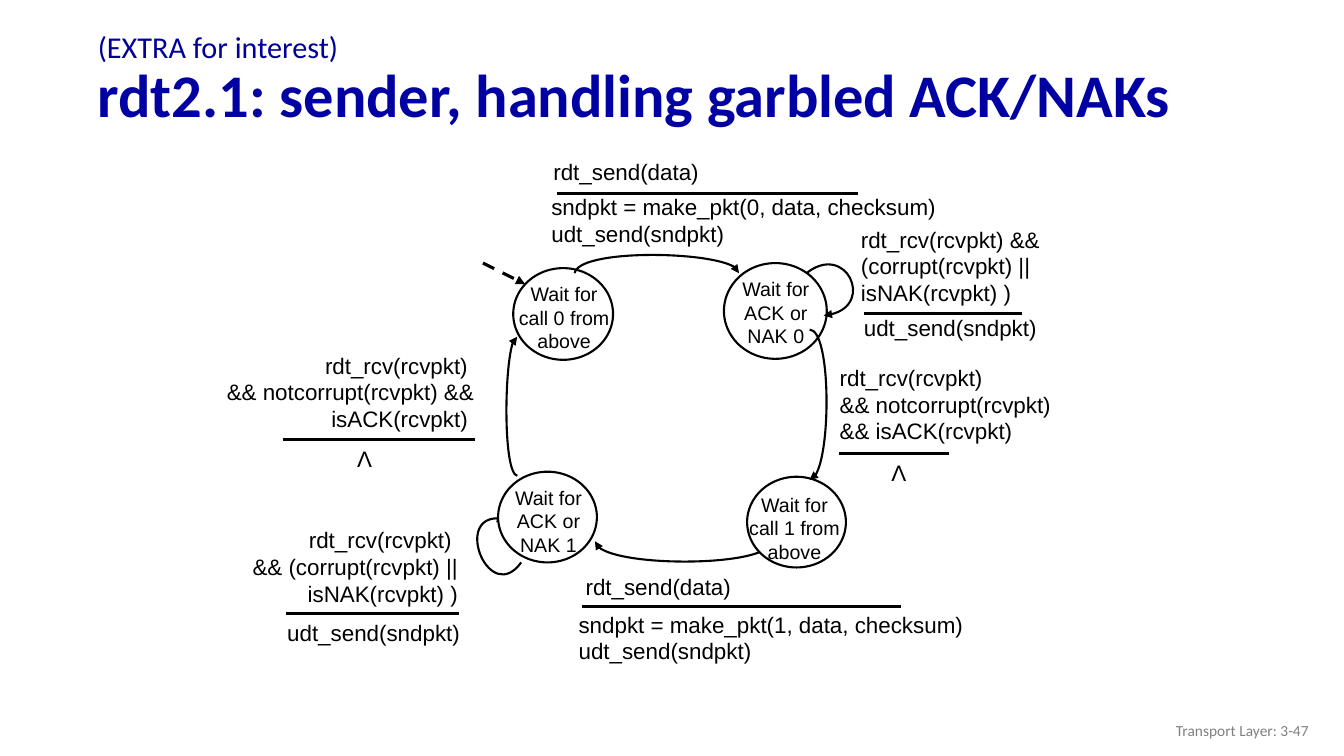
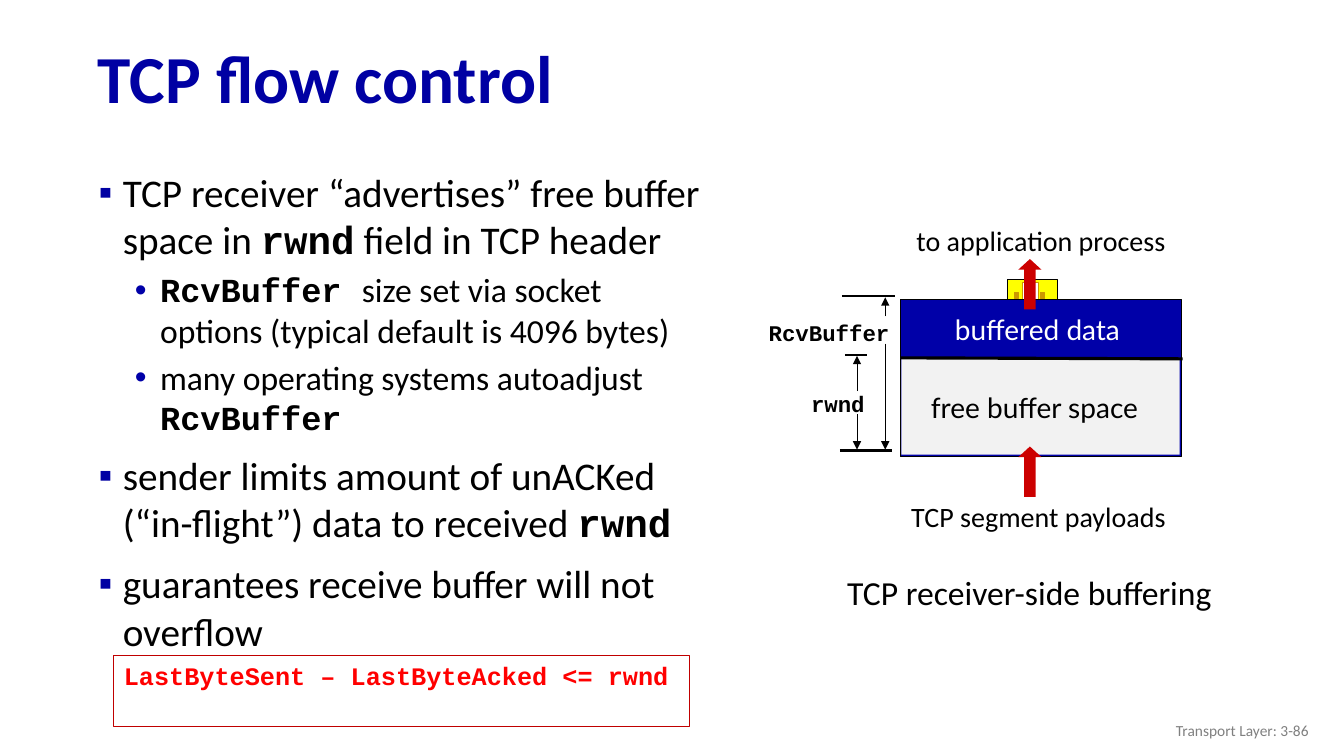
from dataclasses import dataclass
from typing import Any, NamedTuple, Optional

from lxml import etree
from pptx import Presentation
from pptx.dml.color import RGBColor
from pptx.enum.dml import MSO_LINE
from pptx.enum.shapes import MSO_CONNECTOR, MSO_SHAPE
from pptx.enum.text import MSO_ANCHOR, MSO_AUTO_SIZE, PP_ALIGN
from pptx.oxml.ns import qn
from pptx.util import Inches, Pt

LEFT, CENTER, RIGHT = PP_ALIGN.LEFT, PP_ALIGN.CENTER, PP_ALIGN.RIGHT
TOP, MIDDLE = MSO_ANCHOR.TOP, MSO_ANCHOR.MIDDLE
RECTANGLE, OVAL, UP_ARROW = MSO_SHAPE.RECTANGLE, MSO_SHAPE.OVAL, MSO_SHAPE.UP_ARROW
STRAIGHT, DASH = MSO_CONNECTOR.STRAIGHT, MSO_LINE.DASH
NO_AUTOFIT = MSO_AUTO_SIZE.NONE
TITLE_ONLY = 5


class Style(NamedTuple):
    """Font settings of a piece of text."""
    size: float
    name: str
    color: str
    bold: bool = False


class Box(NamedTuple):
    """Position and size in inches."""
    left: float
    top: float
    width: float
    height: float


class Line(NamedTuple):
    """Straight line in inches, its arrow at the end point."""
    x1: float
    y1: float
    x2: float
    y2: float
    width: float
    arrow: bool = False


@dataclass(frozen=True)
class Theme:
    """Colours and text styles of the deck."""
    black: str = "000000"
    white: str = "FFFFFF"
    navy: str = "0000A3"
    buffer: str = "0000A8"
    free: str = "F2F2F2"
    yellow: str = "FFFF00"
    ochre: str = "CC9900"
    arrow: str = "CC0000"
    frame: str = "C00000"
    title: Style = Style(48, "Calibri", "0000A3", True)
    long_title: Style = Style(43.2, "Calibri", "0000A3", True)
    kicker: Style = Style(21.6, "Calibri", "000099")
    footer: Style = Style(11, "Calibri", "808080")
    state: Style = Style(14, "Arial", "000000")
    label: Style = Style(16, "Arial", "000000")
    body: Style = Style(28, "Calibri", "000000")
    body_code: Style = Style(28, "Courier New", "000000", True)
    detail: Style = Style(24, "Calibri", "000000")
    detail_code: Style = Style(24, "Courier New", "000000", True)
    caption: Style = Style(20, "Calibri", "000000")
    buffered: Style = Style(20, "Lato", "FFFFFF")
    unused: Style = Style(20, "Lato", "000000")
    measure: Style = Style(16, "Courier New", "000000", True)
    formula: Style = Style(18, "Courier New", "FF0000", True)


THEME = Theme()


class State(NamedTuple):
    """State of the sender: its circle, text box and wording."""
    circle: Box
    text_box: Box
    text: str


class Label(NamedTuple):
    """Text beside a transition, one paragraph per line."""
    box: Box
    text: str
    align: Any = LEFT
    wrap: bool = True


class Transition(NamedTuple):
    """Curved arrow, with event and action labels split by a rule."""
    curve: tuple[tuple[float, float], ...]
    rule: Line
    labels: tuple[Label, ...]


class Bullet(NamedTuple):
    """Bullet level and its (text, is code) pieces."""
    level: int
    pieces: tuple[tuple[str, bool], ...]


class BulletLevel(NamedTuple):
    """Look of one bullet level."""
    mark: str
    color: str
    margin: float
    hanging: float
    space: float
    plain: Style
    code: Style


LEVELS = (
    BulletLevel("▪", THEME.navy, 0.39, 0.24, 10, THEME.body, THEME.body_code),
    BulletLevel("•", THEME.buffer, 0.76, 0.25, 5, THEME.detail, THEME.detail_code),
)
STATES = (
    State(Box(5.09, 2.66, 0.99, 0.91), Box(5, 2.75, 1.19, 0.67), "Wait for call 0 from above"),
    State(Box(7.18, 2.61, 1.02, 0.95), Box(7.1, 2.7, 1.19, 0.71), "Wait for ACK or NAK 0"),
    State(Box(7.41, 4.73, 0.98, 0.9), Box(7.27, 4.84, 1.22, 0.67), "Wait for\ncall 1 from above"),
    State(Box(4.94, 4.68, 0.98, 0.9), Box(4.87, 4.77, 1.14, 0.67), "Wait for ACK or NAK 1"),
)
BEHIND_STATES = (
    Transition(((7.65, 5.37), (7.65, 5.62), (5.93, 5.64), (5.9, 5.37)), Line(5.77, 6.02, 8.94, 6.02, 2.25), (
        Label(Box(5.71, 5.64, 2.61, 0.31), "rdt_send(data)"),
        Label(Box(5.64, 6.01, 4.12, 0.44), "sndpkt = make_pkt(1, data, checksum)\nudt_send(sndpkt)"))),
    Transition(((5.17, 5.58), (4.86, 6.01), (4.46, 5.05), (5.01, 5.15)), Line(2.84, 6.09, 4.55, 6.09, 2.25), (
        Label(Box(2.03, 5.17, 2.61, 0.62), "rdt_rcv(rcvpkt) \n&& (corrupt(rcvpkt) ||\nisNAK(rcvpkt) )", RIGHT),
        Label(Box(2.75, 6.09, 1.99, 0.3), "udt_send(sndpkt)"))),
)
OVER_STATES = (
    Transition(((5.7, 2.71), (5.74, 2.47), (7.33, 2.49), (7.33, 2.71)), Line(5.52, 1.92, 8.51, 1.92, 2.25), (
        Label(Box(5.39, 1.52, 2.31, 0.33), "rdt_send(data)"),
        Label(Box(5.37, 1.87, 4.04, 0.44), "sndpkt = make_pkt(0, data, checksum)\nudt_send(sndpkt)"))),
    Transition(((8, 2.71), (8.39, 2.4), (8.71, 3.08), (8.17, 3.13)), Line(8.57, 3.11, 10.14, 3.11, 2.25), (
        Label(Box(8.44, 2.19, 3.48, 0.62), "rdt_rcv(rcvpkt) &&\n(corrupt(rcvpkt) ||\nisNAK(rcvpkt) )"),
        Label(Box(8.47, 3.07, 2.47, 0.44), "udt_send(sndpkt)"))),
    Transition(((8.03, 3.27), (8.24, 3.27), (8.25, 4.73), (8.03, 4.76)), Line(8.32, 4.5, 9.41, 4.5, 2.25), (
        Label(Box(8.23, 3.56, 3.28, 0.62), "rdt_rcv(rcvpkt)\n&& notcorrupt(rcvpkt)\n&& isACK(rcvpkt)"),
        Label(Box(8.74, 4.51, 0.35, 0.37), "Λ", CENTER, False))),
    Transition(((5.13, 4.72), (4.99, 4.69), (5, 3.34), (5.13, 3.34)), Line(2.81, 4.36, 4.71, 4.36, 2.25), (
        Label(Box(0.84, 3.44, 3.96, 0.62), "rdt_rcv(rcvpkt) \n&& notcorrupt(rcvpkt) &&\nisACK(rcvpkt) ", RIGHT),
        Label(Box(3.44, 4.37, 0.35, 0.37), "Λ", CENTER, False))),
)
BULLETS = (
    Bullet(0, (("TCP receiver “advertises” free buffer space in ", False), ("rwnd", True),
               (" field in TCP header", False))),
    Bullet(1, (("RcvBuffer ", True), ("size set via socket options (typical default is 4096 bytes)", False))),
    Bullet(1, (("many operating systems autoadjust ", False), ("RcvBuffer", True))),
    Bullet(0, (("sender limits amount of unACKed (“in-flight”) data to received ", False), ("rwnd", True))),
    Bullet(0, (("guarantees receive buffer will not overflow", False),)),
)
BUFFER_FIGURES = (
    (RECTANGLE, Box(9.99, 2.77, 0.5, 0.23), THEME.yellow, THEME.black),
    (RECTANGLE, Box(10.14, 2.8, 0.16, 0.17), THEME.white, THEME.ochre),
    (RECTANGLE, Box(10.32, 2.9, 0.04, 0.06), THEME.ochre, THEME.ochre),
    (RECTANGLE, Box(10.06, 2.9, 0.04, 0.06), THEME.ochre, THEME.ochre),
    (RECTANGLE, Box(8.93, 2.97, 2.79, 1.56), THEME.buffer, THEME.black),
    (UP_ARROW, Box(10.1, 2.57, 0.23, 0.5), THEME.arrow, None),
    (RECTANGLE, Box(8.94, 3.55, 2.76, 0.96), THEME.free, None),
    (UP_ARROW, Box(10.1, 4.43, 0.23, 0.5), THEME.arrow, None),
)
BUFFER_LINES = (
    Line(8.93, 3.55, 11.73, 3.56, 2.25),
    Line(8.5, 3.88, 8.5, 3.53, 0.75, True),
    Line(8.5, 4.11, 8.5, 4.46, 0.75, True),
    Line(8.33, 4.47, 8.85, 4.47, 1.5),
    Line(8.38, 3.52, 8.6, 3.52, 1.5),
    Line(8.35, 2.94, 8.88, 2.94, 1.5),
    Line(8.78, 3.14, 8.78, 2.95, 0.75, True),
    Line(8.78, 3.41, 8.78, 4.46, 0.75, True),
)
BUFFER_LABELS = (
    (Label(Box(9.36, 3.05, 1.86, 0.43), "buffered data", CENTER, False), THEME.buffered),
    (Label(Box(9.12, 3.83, 2.28, 0.43), "free buffer space", CENTER, False), THEME.unused),
    (Label(Box(7.94, 3.82, 0.74, 0.37), "rwnd", CENTER, False), THEME.measure),
    (Label(Box(7.52, 3.12, 1.4, 0.37), "RcvBuffer", RIGHT, False), THEME.measure),
    (Label(Box(8.92, 4.91, 2.76, 0.44), "TCP segment payloads", CENTER, False), THEME.caption),
    (Label(Box(8.97, 2.17, 2.71, 0.44), "to application process", CENTER, False), THEME.caption),
    (Label(Box(8.26, 5.62, 3.9, 0.5), "TCP receiver-side buffering", CENTER, False), THEME.detail),
)


def set_values(target: Any, values: dict[str, Any]) -> None:
    """Set each named attribute of the target."""
    for name, value in values.items():
        setattr(target, name, value)


def place(box: Box) -> list[int]:
    """Convert a box to lengths."""
    return [Inches(value) for value in box]


def add_run(paragraph: Any, text: str, style: Style) -> None:
    """Append a formatted run."""
    run = paragraph.add_run()
    run.text = text
    set_values(run.font, {"name": style.name, "size": Pt(style.size), "bold": style.bold})
    run.font.color.rgb = RGBColor.from_string(style.color)


def write_text(shape: Any, label: Label, style: Style, anchor: Any = TOP) -> None:
    """Write the label's paragraphs into a shape."""
    frame = shape.text_frame
    set_values(frame, {"word_wrap": label.wrap, "vertical_anchor": anchor})
    for index, line in enumerate(label.text.split("\n")):
        paragraph = frame.add_paragraph() if index else frame.paragraphs[0]
        paragraph.alignment = label.align
        add_run(paragraph, line, style)


def add_label(slide: Any, label: Label, style: Style, anchor: Any = TOP) -> None:
    """Add a text box for the label."""
    write_text(slide.shapes.add_textbox(*place(label.box)), label, style, anchor)


def add_figure(slide: Any, kind: Any, box: Box, fill: Optional[str], line: Optional[str],
               width: float = 0.75) -> Any:
    """Add a preset shape with optional fill and outline."""
    shape = slide.shapes.add_shape(kind, *place(box))
    shape.shadow.inherit = False
    if fill:
        shape.fill.solid()
        shape.fill.fore_color.rgb = RGBColor.from_string(fill)
    else:
        shape.fill.background()
    if line:
        shape.line.color.rgb = RGBColor.from_string(line)
        shape.line.width = Pt(width)
    else:
        shape.line.fill.background()
    return shape


def draw_stroke(shape: Any, width: float, arrow: bool, dash: Any = None) -> None:
    """Draw the shape's line in black, with an arrowhead if asked."""
    shape.line.color.rgb = RGBColor.from_string(THEME.black)
    set_values(shape.line, {"width": Pt(width), "dash_style": dash})
    if arrow:
        etree.SubElement(shape.element.spPr.find(qn("a:ln")), qn("a:tailEnd"), type="triangle")


def add_line(slide: Any, line: Line, dash: Any = None) -> None:
    """Add a straight connector."""
    connector = slide.shapes.add_connector(STRAIGHT, *[Inches(value) for value in line[:4]])
    draw_stroke(connector, line.width, line.arrow, dash)
    etree.SubElement(connector.element.spPr, qn("a:effectLst"))


def add_curve(slide: Any, points: tuple[tuple[float, float], ...]) -> None:
    """Add a cubic curve with an arrowhead at its end."""
    start, *others = [(Inches(x), Inches(y)) for x, y in points]
    builder = slide.shapes.build_freeform(*start)
    builder.add_line_segments(others, close=False)
    shape = builder.convert_to_shape()
    outline = next(shape.element.iter(qn("a:path")))
    segments = outline.findall(qn("a:lnTo"))
    cubic = etree.SubElement(outline, qn("a:cubicBezTo"))
    for segment in segments:
        cubic.append(segment[0])
        outline.remove(segment)
    shape.fill.background()
    shape.shadow.inherit = False
    draw_stroke(shape, 1.5, True)


def add_transition(slide: Any, transition: Transition) -> None:
    """Add a transition with its labels and rule."""
    add_curve(slide, transition.curve)
    for label in transition.labels:
        add_label(slide, label, THEME.label)
    add_line(slide, transition.rule)


def add_bullets(slide: Any, box: Box) -> None:
    """Add the bulleted text."""
    frame = slide.shapes.add_textbox(*place(box)).text_frame
    frame.word_wrap = True
    for index, bullet in enumerate(BULLETS):
        level = LEVELS[bullet.level]
        paragraph = frame.add_paragraph() if index else frame.paragraphs[0]
        set_values(paragraph, {"level": bullet.level, "space_before": Pt(level.space if index else 0)})
        properties = paragraph._p.get_or_add_pPr()
        properties.set("marL", str(Inches(level.margin)))
        properties.set("indent", str(-Inches(level.hanging)))
        etree.SubElement(etree.SubElement(properties, qn("a:buClr")), qn("a:srgbClr"), val=level.color)
        etree.SubElement(properties, qn("a:buFont"), typeface="Arial")
        etree.SubElement(properties, qn("a:buChar"), char=level.mark)
        for text, is_code in bullet.pieces:
            add_run(paragraph, text, level.code if is_code else level.plain)


def add_slide(presentation: Any, title: str, style: Style, number: int, kicker: str = "") -> Any:
    """Add a slide with its title and footer."""
    slide = presentation.slides.add_slide(presentation.slide_layouts[TITLE_ONLY])
    shape = slide.shapes.title
    set_values(shape, dict(zip(("left", "top", "width", "height"), place(Box(0.87, 0.32, 12.14, 0.98)))))
    set_values(shape.text_frame, {"word_wrap": True, "auto_size": NO_AUTOFIT, "vertical_anchor": MIDDLE})
    paragraph = shape.text_frame.paragraphs[0]
    set_values(paragraph, {"alignment": LEFT, "line_spacing": 0.9})
    if kicker:
        add_run(paragraph, kicker, THEME.kicker)
        paragraph.add_line_break()
    add_run(paragraph, title, style)
    add_label(slide, Label(Box(10.08, 7.05, 3, 0.4), f"Transport Layer: 3-{number}", RIGHT), THEME.footer, MIDDLE)
    return slide


def build_sender(presentation: Any) -> None:
    """Build the sender state machine slide."""
    slide = add_slide(presentation, "rdt2.1: sender, handling garbled ACK/NAKs", THEME.long_title, 47,
                      "(EXTRA for interest)")
    for transition in BEHIND_STATES:
        add_transition(slide, transition)
    for state in STATES:
        add_figure(slide, OVAL, state.circle, THEME.white, THEME.black, 1.5)
        add_label(slide, Label(state.text_box, state.text, CENTER), THEME.state)
    add_line(slide, Line(4.79, 2.61, 5.21, 2.82, 2.25, True), DASH)
    for transition in OVER_STATES:
        add_transition(slide, transition)


def build_flow_control(presentation: Any) -> None:
    """Build the flow control slide."""
    slide = add_slide(presentation, "TCP flow control", THEME.title, 86)
    add_bullets(slide, Box(0.73, 1.62, 6.37, 5.37))
    for kind, box, fill, outline in BUFFER_FIGURES:
        shape = add_figure(slide, kind, box, fill, outline)
        if kind == UP_ARROW:
            shape.adjustments[1] = 0.46
    for line in BUFFER_LINES:
        add_line(slide, line)
    for label, style in BUFFER_LABELS:
        add_label(slide, label, style)
    box = Box(1.13, 6.5, 5.71, 0.71)
    write_text(add_figure(slide, RECTANGLE, box, None, THEME.frame),
               Label(box, "LastByteSent – LastByteAcked <= rwnd"), THEME.formula)


def main() -> None:
    """Build and save the deck."""
    presentation = Presentation()
    set_values(presentation, {"slide_width": Inches(13.33), "slide_height": Inches(7.5)})
    build_sender(presentation)
    build_flow_control(presentation)
    presentation.save("out.pptx")


if __name__ == "__main__":
    main()
